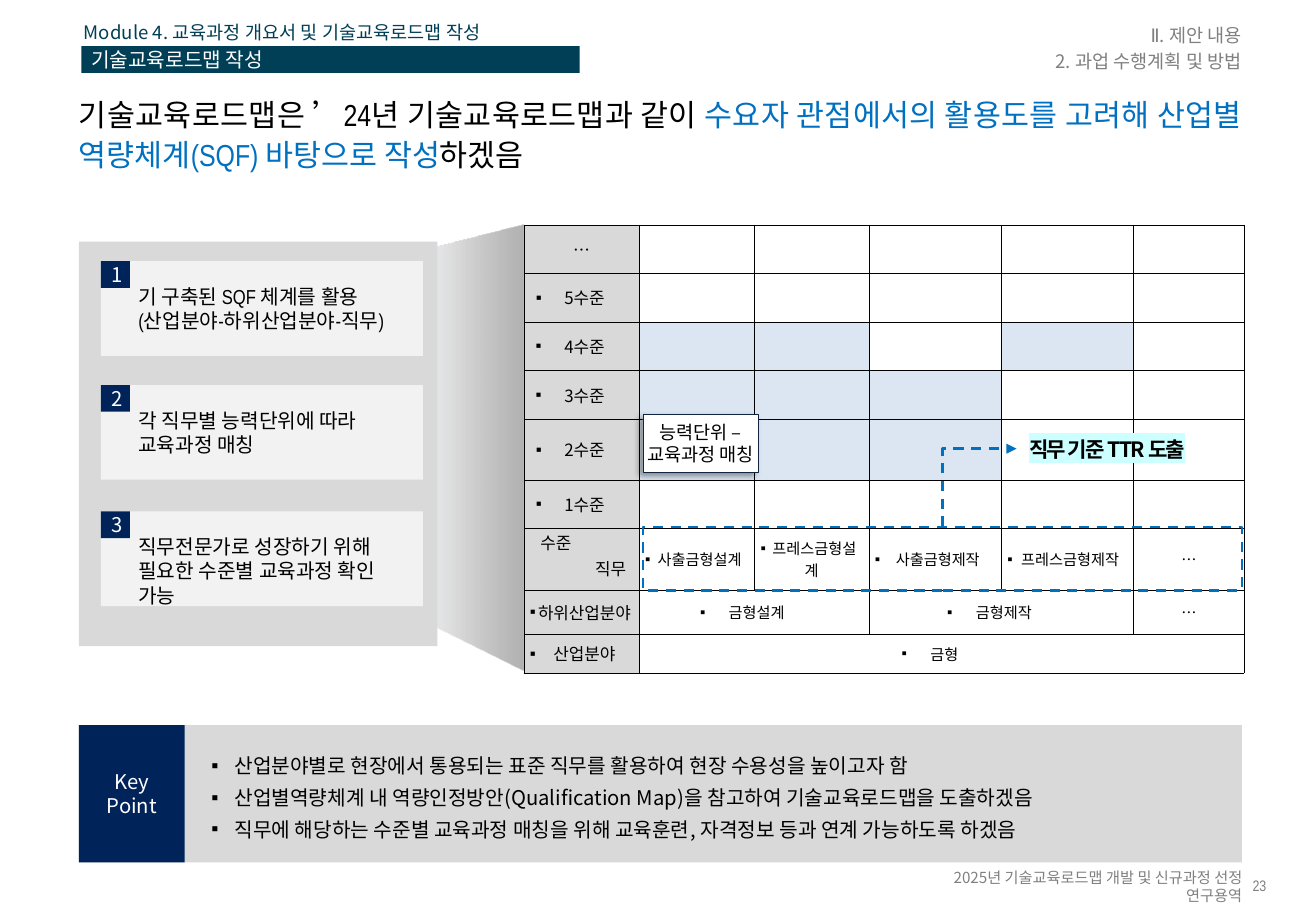
from lxml import etree
from pptx import Presentation
from pptx.dml.color import RGBColor
from pptx.enum.dml import MSO_LINE
from pptx.enum.shapes import MSO_CONNECTOR, MSO_SHAPE
from pptx.enum.text import MSO_ANCHOR as ANCHOR, MSO_AUTO_SIZE, PP_ALIGN as ALIGN
from pptx.oxml.ns import qn
from pptx.util import Inches, Pt

NOTO, NARROW = "Noto Sans CJK KR", "Arial Narrow"
BLACK, WHITE, GREY, PANEL = "000000", "FFFFFF", "808080", "D9D9D9"
NAVY, TEAL, BLUE, PALE_BLUE = "002459", "003F56", "0070C0", "DCE6F2"
LEFT, WIDTH = 0.65, 9.57

COLUMNS = [0.95, 0.95, 0.94, 1.09, 1.09, 0.91]
ROWS = [0.4, 0.4, 0.4, 0.4, 0.5, 0.4, 0.51, 0.36, 0.32]
SIDE_MARGINS = [0.1, 0.1, 0, 0, 0.1, 0.1, 0.05, 0.05, 0.05]
CELLS = [
    ["…"], ["5수준"], ["4수준"], ["3수준"], ["2수준"], ["1수준"],
    ["", "사출금형설계", "프레스금형설계", "사출금형제작", "프레스금형제작", "…"],
    ["하위산업분야", "금형설계", "", "금형제작", "", "…"],
    ["산업분야", "금형"],
]
SHADED = {(2, 1), (2, 2), (2, 4), (3, 1), (3, 2), (3, 3), (4, 1), (4, 2), (4, 3)}
MERGES = [(7, 1, 2), (7, 3, 4), (8, 1, 5)]

CARDS = [
    (2.15, 2.54, NARROW, ["기 구축된 SQF 체계를 활용", "(산업분야-하위산업분야-직무)"]),
    (3.17, 2.54, NARROW, ["각 직무별 능력단위에 따라", "교육과정 매칭"]),
    (4.21, 2.44, NOTO, ["직무전문가로 성장하기 위해 필요한 수준별 교육과정 확인 가능"]),
]
KEY_POINTS = [
    "산업분야별로 현장에서 통용되는 표준 직무를 활용하여 현장 수용성을 높이고자 함",
    "산업별역량체계 내 역량인정방안(Qualification Map)을 참고하여 기술교육로드맵을 도출하겠음",
    "직무에 해당하는 수준별 교육과정 매칭을 위해 교육훈련, 자격정보 등과 연계 가능하도록 하겠음",
]


def rgb(value):
    """Turn a hex string into a colour."""
    return RGBColor.from_string(value)


def add_xml(parent, tag, **attributes):
    """Append a drawing element to a parent element."""
    return etree.SubElement(parent, qn(tag), attributes)


def inches(*values):
    """Convert several numbers to lengths."""
    return [Inches(value) for value in values]


def add_run(para, text, size, color, font, bold=False, highlight=None, spacing=None):
    """Add one formatted run."""
    run = para.add_run()
    run.text = text
    run.font.size, run.font.bold = Pt(size), bold
    run.font.color.rgb = rgb(color)
    properties = run.font._element
    if highlight:
        add_xml(add_xml(properties, "a:highlight"), "a:srgbClr", val=highlight)
    if spacing:
        properties.set("spc", str(spacing))
    run.font.name = font
    add_xml(properties, "a:ea", typeface=NOTO)


def add_bullet(para, margin=0):
    """Give a paragraph a square bullet with an optional hanging indent."""
    properties = para._p.get_or_add_pPr()
    if margin:
        properties.set("marL", str(Inches(margin)))
        properties.set("indent", str(Inches(-0.19)))
    add_xml(properties, "a:buFont", typeface="Arial")
    add_xml(properties, "a:buChar", char="▪")


def write(shape, lines, size, color=BLACK, font=NOTO, align=ALIGN.LEFT, anchor=ANCHOR.MIDDLE,
          insets=(0.1, 0.05, 0.1, 0.05), wrap=True, leading=None, gap=0, bullet=None, **style):
    """Fill a shape with lines, each a string or a list of (text, colour, font) runs."""
    frame = shape.text_frame
    frame.word_wrap, frame.auto_size = wrap, MSO_AUTO_SIZE.NONE
    frame.vertical_anchor = anchor
    (frame.margin_left, frame.margin_top,
     frame.margin_right, frame.margin_bottom) = inches(*insets)
    for index, line in enumerate(lines):
        para = frame.add_paragraph() if index else frame.paragraphs[0]
        if bullet:
            add_bullet(para, bullet)
        para.alignment = align
        para.space_before = Pt(gap if index else 0)
        if leading:
            para.line_spacing = leading
        runs = [(line, color, font)] if isinstance(line, str) else line
        for text, run_color, run_font in runs:
            add_run(para, text, size, run_color, run_font, **style)


def place(shape, *bounds):
    """Move and resize a shape."""
    shape.left, shape.top, shape.width, shape.height = inches(*bounds)


def add_box(slide, bounds, fill=None, line=None, weight=0.25):
    """Add a rectangle without a shadow."""
    box = slide.shapes.add_shape(MSO_SHAPE.RECTANGLE, *inches(*bounds))
    box.shadow.inherit = False
    if fill:
        box.fill.solid()
        box.fill.fore_color.rgb = rgb(fill)
    else:
        box.fill.background()
    if line:
        box.line.color.rgb, box.line.width = rgb(line), Pt(weight)
    else:
        box.line.fill.background()
    return box


def add_label(slide, bounds, lines, size, **style):
    """Add a text box."""
    write(slide.shapes.add_textbox(*inches(*bounds)), lines, size, **style)


def add_funnel(slide):
    """Add the shaded wedge that opens from the cards to the table."""
    points = [inches(*point) for point in [(4.31, 1.85), (3.22, 2.13), (3.17, 4.95), (4.31, 5.52)]]
    builder = slide.shapes.build_freeform(*points[0])
    builder.add_line_segments(points[1:], close=True)
    funnel = builder.convert_to_shape()
    funnel.shadow.inherit = False
    funnel.line.fill.background()
    funnel.fill.gradient()
    funnel.fill.gradient_angle = 0
    stops = funnel._element.spPr.find(".//" + qn("a:gsLst"))
    for stop in list(stops):
        stops.remove(stop)
    for position, color, alpha in [(0, "F0F5FA", 41), (53, PANEL, 100), (100, "A6A6A6", 87)]:
        stop = add_xml(stops, "a:gs", pos=str(position * 1000))
        add_xml(add_xml(stop, "a:srgbClr", val=color), "a:alpha", val=str(alpha * 1000))


def format_cell(cell, text, fill, size, side):
    """Set the borders, fill and text of a table cell."""
    properties = cell._tc.get_or_add_tcPr()
    for edge in ("a:lnL", "a:lnR", "a:lnT", "a:lnB"):
        border = add_xml(properties, edge, w=str(Pt(0.25)))
        add_xml(add_xml(border, "a:solidFill"), "a:srgbClr", val=BLACK)
    cell.fill.solid()
    cell.fill.fore_color.rgb = rgb(fill)
    cell.vertical_anchor = ANCHOR.MIDDLE
    cell.margin_left = cell.margin_right = Inches(side)
    cell.margin_top = cell.margin_bottom = Inches(0.02)
    para = cell.text_frame.paragraphs[0]
    if not text:
        add_xml(para._p, "a:endParaRPr", sz="900")
        return
    if text != "…":
        add_bullet(para)
    para.alignment = ALIGN.CENTER
    add_run(para, text, size, BLACK, NOTO)


def add_level_table(slide):
    """Add the table of levels against jobs."""
    bounds = inches(4.31, 1.85, sum(COLUMNS), sum(ROWS))
    table = slide.shapes.add_table(len(ROWS), len(COLUMNS), *bounds).table
    table.first_row = table.horz_banding = False
    for column, width in zip(table.columns, COLUMNS):
        column.width = Inches(width)
    for r, height in enumerate(ROWS):
        table.rows[r].height = Inches(height)
        for c in range(len(COLUMNS)):
            text = CELLS[r][c] if c < len(CELLS[r]) else ""
            fill = PANEL if c == 0 else PALE_BLUE if (r, c) in SHADED else WHITE
            format_cell(table.cell(r, c), text, fill, 9 if c else 10, SIDE_MARGINS[r])
    for r, first, last in MERGES:
        table.cell(r, first).merge(table.cell(r, last))


def add_card(slide, number, top, width, font, lines):
    """Add a numbered card."""
    add_box(slide, (0.83, top, 2.65, 0.78), "F2F2F2")
    badge = add_box(slide, (0.83, top, 0.24, 0.22), NAVY)
    write(badge, [str(number)], 12, WHITE, align=ALIGN.CENTER, insets=(0.03, 0, 0, 0), wrap=False)
    add_label(slide, (1.04, top + 0.14, width, 0.5), lines, 12, font=font, anchor=ANCHOR.TOP)


def add_callout(slide):
    """Add the shadowed note over the table."""
    note = add_box(slide, (5.29, 3.41, 0.95, 0.48), WHITE, "0F243E")
    effects = note._element.spPr.find(qn("a:effectLst"))
    shadow = add_xml(effects, "a:outerShdw", blurRad=str(Pt(4)), dist=str(Pt(3)), dir="8100000")
    add_xml(add_xml(shadow, "a:srgbClr", val=BLACK), "a:alpha", val="40000")
    write(note, ["능력단위 –", "교육과정 매칭"], 11, font=NARROW, align=ALIGN.CENTER,
          insets=(0, 0.05, 0, 0.05))


def add_job_arrow(slide):
    """Add the dashed elbow arrow that rises from the job row."""
    arrow = slide.shapes.add_connector(MSO_CONNECTOR.ELBOW, *inches(8.38, 4.32, 7.74, 3.71))
    properties = arrow._element.spPr
    properties.find(qn("a:xfrm")).set("rot", "5400000")
    properties.find(qn("a:prstGeom")).set("prst", "bentConnector2")
    arrow.line.color.rgb, arrow.line.width = rgb(BLUE), Pt(1.5)
    arrow.line.dash_style = MSO_LINE.DASH
    add_xml(arrow.line._get_or_add_ln(), "a:tailEnd", type="triangle")
    add_xml(properties, "a:effectLst")


def add_headings(slide):
    """Add the module line, section bar, headline and chapter."""
    add_label(slide, (LEFT, 0.15, 4.76, 0.23), ["Module 4. 교육과정 개요서 및 기술교육로드맵 작성"],
              11, color=TEAL, insets=(0.04, 0, 0, 0), wrap=False)
    write(add_box(slide, (0.67, 0.38, 4.1, 0.22), TEAL), ["기술교육로드맵 작성"], 12, WHITE, NARROW,
          insets=(0.08, 0, 0, 0), wrap=False)
    chapter = [("Ⅱ", GREY, NARROW), (". 제안 내용", GREY, NOTO)]
    add_label(slide, (7.98, 0.15, 2.24, 0.49), [chapter, "2. 과업 수행계획 및 방법"], 11,
              color=GREY, align=ALIGN.RIGHT, insets=(0, 0, 0, 0), wrap=False, gap=2.2)
    place(slide.shapes.title, LEFT, 0.71, WIDTH, 0.89)
    headline = [("기술교육로드맵은 ’24년 기술교육로드맵과 같이 ", BLACK, NARROW),
                ("수요자 관점에서의 활용도를 고려해 산업별 역량체계(SQF) 바탕으로 작성", BLUE, NARROW),
                ("하겠음", BLACK, NARROW)]
    write(slide.shapes.title, [headline], 18, align=ALIGN.JUSTIFY, anchor=ANCHOR.TOP,
          insets=(0, 0.05, 0, 0), leading=1.1)


def add_key_points(slide):
    """Fill the body placeholder with the key points and add its tab."""
    body = slide.placeholders[1]
    place(body, LEFT, 5.97, WIDTH, 1.13)
    body.fill.solid()
    body.fill.fore_color.rgb = rgb(PANEL)
    write(body, KEY_POINTS, 12, leading=1.3, bullet=1.18)
    write(add_box(slide, (LEFT, 5.97, 0.87, 1.13), NAVY), ["Key", "Point"], 12, WHITE,
          align=ALIGN.CENTER)


def main():
    """Build the slide and save it."""
    deck = Presentation()
    deck.slide_width, deck.slide_height = inches(10.83, 7.5)
    slide = deck.slides.add_slide(deck.slide_layouts[1])
    add_headings(slide)
    add_funnel(slide)
    add_box(slide, (LEFT, 1.99, 2.95, 3.33), PANEL)
    add_level_table(slide)
    add_key_points(slide)
    for number, card in enumerate(CARDS, 1):
        add_card(slide, number, *card)
    add_callout(slide)
    add_box(slide, (5.29, 4.34, 4.93, 0.52), None, BLUE, 1.5).line.dash_style = MSO_LINE.DASH
    add_job_arrow(slide)
    add_label(slide, (8.37, 3.54, 1.93, 0.31), ["직무 기준 TTR 도출"], 12.5, bold=True,
              highlight="CCFFFF", spacing=-100)
    for text, left, top in [("직무", 4.8, 4.58), ("수준", 4.35, 4.36)]:
        add_label(slide, (left, top, 0.45, 0.21), [text], 10, font=NARROW, align=ALIGN.CENTER,
                  insets=(0.04, 0.02, 0.04, 0.02))
    add_label(slide, (7.4, 7.22, 2.82, 0.15), ["2025년 기술교육로드맵 개발 및 신규과정 선정 연구용역"], 9,
              color=GREY, align=ALIGN.RIGHT, insets=(0, 0, 0, 0))
    add_label(slide, (10.3, 7.23, 0.13, 0.14), ["23"], 9, color=GREY, font=NARROW,
              align=ALIGN.CENTER, insets=(0, 0, 0, 0), wrap=False, leading=0.9)
    deck.save("out.pptx")


if __name__ == "__main__":
    main()
